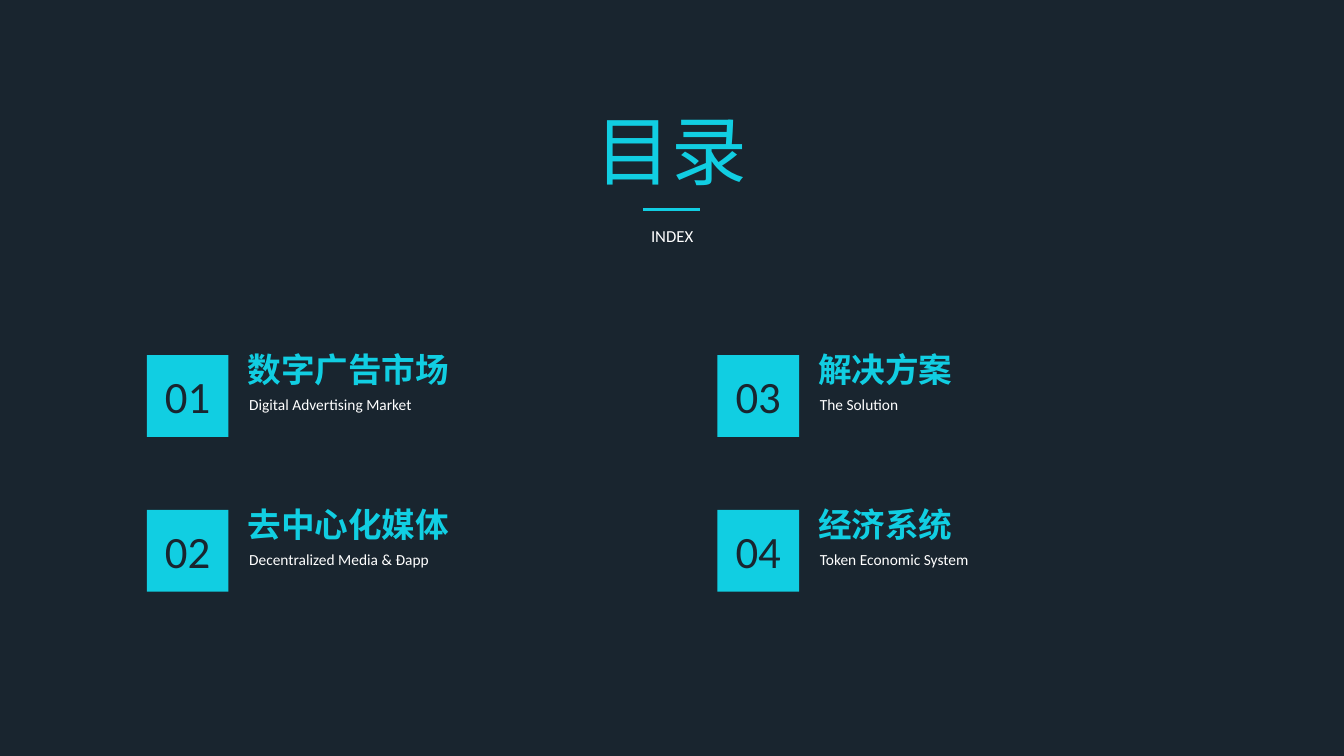
from lxml import etree
from pptx import Presentation
from pptx.dml.color import RGBColor
from pptx.enum.shapes import MSO_CONNECTOR, MSO_SHAPE
from pptx.enum.text import MSO_ANCHOR, MSO_AUTO_SIZE, PP_ALIGN
from pptx.oxml.ns import qn
from pptx.util import Cm, Pt

COLORS = {"background": "19252F", "accent": "11CEE2", "caption": "FFFFFF"}
FONT = "Calibri"

CHAPTERS = [
    ("数字广告市场", "Digital Advertising Market"),
    ("去中心化媒体", "Decentralized Media & Đapp"),
    ("解决方案", "The Solution"),
    ("经济系统", "Token Economic System"),
]
ROWS = 2
LEFT, TOP = 3.7, 8.95
COLUMN_STEP, ROW_STEP = 14.38, 3.9
TILE_SIZE = 2.06


def color(name):
    return RGBColor.from_string(COLORS[name])


def set_text(shape, text, size, color_name, align=PP_ALIGN.LEFT, bold=False):
    paragraph = shape.text_frame.paragraphs[0]
    paragraph.text = text
    paragraph.alignment = align
    paragraph.font.name = FONT
    paragraph.font.size = Pt(size)
    paragraph.font.bold = bold
    paragraph.font.color.rgb = color(color_name)
    return paragraph


def add_heading(slide, left, top, width, height, text, size, **style):
    """Add an accent-coloured line of text that does not wrap."""
    box = slide.shapes.add_textbox(Cm(left), Cm(top), Cm(width), Cm(height))
    box.text_frame.word_wrap = False
    box.text_frame.auto_size = MSO_AUTO_SIZE.SHAPE_TO_FIT_TEXT
    set_text(box, text, size, "accent", **style)


def add_caption(slide, left, top, width, height, text, size, **style):
    """Add white wrapping text without margins in an unfilled outline."""
    right, bottom = Cm(left + width), Cm(top + height)
    builder = slide.shapes.build_freeform(Cm(left), Cm(top))
    builder.add_line_segments(
        [(right, Cm(top)), (right, bottom), (Cm(left), bottom)], close=True)
    shape = builder.convert_to_shape()
    shape.shadow.inherit = False
    shape.fill.background()
    shape.line.fill.background()
    frame = shape.text_frame
    frame.word_wrap = True
    frame.vertical_anchor = MSO_ANCHOR.TOP
    frame.margin_left = frame.margin_right = 0
    frame.margin_top = frame.margin_bottom = 0
    set_text(shape, text, size, "caption", **style).line_spacing = 1.2


def add_number_tile(slide, left, top, number):
    tile = slide.shapes.add_shape(
        MSO_SHAPE.RECTANGLE, Cm(left), Cm(top), Cm(TILE_SIZE), Cm(TILE_SIZE))
    tile.shadow.inherit = False
    tile.fill.solid()
    tile.fill.fore_color.rgb = color("accent")
    tile.line.fill.background()
    tile.text_frame.vertical_anchor = MSO_ANCHOR.MIDDLE
    set_text(tile, f"{number:02d}", 32, "background", PP_ALIGN.CENTER)


def add_rule(slide, left, right, top):
    rule = slide.shapes.add_connector(
        MSO_CONNECTOR.STRAIGHT, Cm(left), Cm(top), Cm(right), Cm(top))
    rule.line.color.rgb = color("accent")
    rule.line.width = Pt(2)
    etree.SubElement(rule.element.spPr, qn("a:effectLst"))


def add_chapter(slide, index, title, subtitle):
    column, row = divmod(index, ROWS)
    left = LEFT + column * COLUMN_STEP
    top = TOP + row * ROW_STEP
    add_number_tile(slide, left, top, index + 1)
    title_width = 0.85 * len(title) + 0.54
    add_heading(slide, left + 2.29, top - 0.28, title_width, 1.27, title, 24, bold=True)
    add_caption(slide, left + 2.58, top + 0.92, 8.79, 0.56, subtitle, 11)


def main():
    presentation = Presentation()
    presentation.slide_width = Cm(33.87)
    presentation.slide_height = Cm(19.05)
    slide = presentation.slides.add_slide(presentation.slide_layouts[6])
    slide.background.fill.solid()
    slide.background.fill.fore_color.rgb = color("background")

    add_heading(slide, 14.74, 2.49, 4.37, 2.57, "目录", 54, align=PP_ALIGN.CENTER)
    add_rule(slide, 16.2, 17.64, 5.28)
    add_caption(slide, 12.15, 5.59, 9.58, 1.85, "INDEX", 12, align=PP_ALIGN.CENTER)
    for index, (title, subtitle) in enumerate(CHAPTERS):
        add_chapter(slide, index, title, subtitle)

    presentation.save("out.pptx")


if __name__ == "__main__":
    main()
